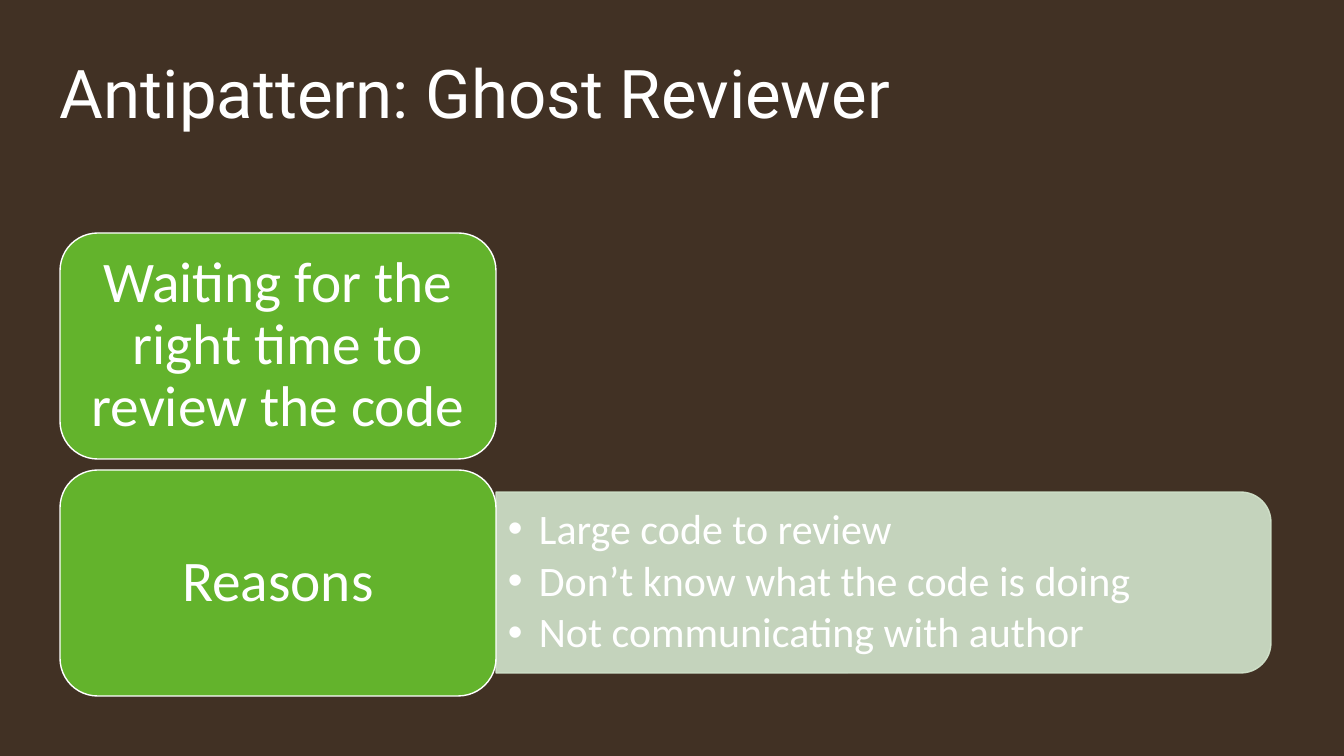
from lxml.etree import SubElement
from pptx import Presentation
from pptx.dml.color import RGBColor
from pptx.enum.shapes import MSO_SHAPE
from pptx.enum.text import MSO_ANCHOR, PP_ALIGN
from pptx.oxml.ns import qn
from pptx.util import Emu, Pt

PX = 914400 / 100.8
COLORS = {"background": "413124", "card": "63B32C", "panel": "D3E5CD", "white": "FFFFFF"}


def px(*lengths):
    return [Emu(round(length * PX)) for length in lengths]


def write(frame, lines, size, font="Calibri", align=PP_ALIGN.LEFT,
          anchor=MSO_ANCHOR.MIDDLE, insets=(0, 0), after=0, bullet_indent=0):
    frame.word_wrap = True
    frame.vertical_anchor = anchor
    frame.margin_left = frame.margin_right = px(insets[0])[0]
    frame.margin_top = frame.margin_bottom = px(insets[1])[0]
    for index, line in enumerate(lines):
        para = frame.paragraphs[0] if index == 0 else frame.add_paragraph()
        para.alignment = align
        para.line_spacing = 0.9
        para.space_after = Pt(after)
        span = para.add_run()
        span.text = line
        span.font.size = Pt(size)
        span.font.name = font
        span.font.color.rgb = RGBColor.from_string(COLORS["white"])
        if bullet_indent:
            properties = para._p.get_or_add_pPr()
            indent = px(bullet_indent)[0]
            properties.set("marL", str(indent))
            properties.set("indent", str(-indent))
            SubElement(properties, qn("a:buFont"), typeface="Arial")
            SubElement(properties, qn("a:buChar"), char="•")


deck = Presentation()
deck.slide_width, deck.slide_height = px(1344, 756)
page = deck.slides.add_slide(deck.slide_layouts[6])
page.background.fill.solid()
page.background.fill.fore_color.rgb = RGBColor.from_string(COLORS["background"])

# Title
title = page.shapes.add_textbox(*px(60, 60, 1223, 147))
write(title.text_frame, ["Antipattern: Ghost Reviewer"], 48, font="Roboto",
      anchor=MSO_ANCHOR.TOP)

# Pale panel, turned so that its rounded end points right
panel = page.shapes.add_shape(MSO_SHAPE.ROUND_2_SAME_RECTANGLE, *px(793, 195, 181, 775))
panel.rotation = 90
panel.shadow.inherit = False
panel.line.width = Pt(1)
for paint in (panel.fill, panel.line.fill):
    paint.solid()
    paint.fore_color.rgb = RGBColor.from_string(COLORS["panel"])
for color in panel._element.spPr.iter(qn("a:srgbClr")):
    SubElement(color, qn("a:alpha"), val="90000")

# Reasons listed on the panel
reasons = page.shapes.add_textbox(*px(496, 501, 766, 163))
write(reasons.text_frame,
      ["Large code to review", "Don’t know what the code is doing",
       "Not communicating with author"],
      30, insets=(12, 6), after=4.5, bullet_indent=31)

# Green cards, one under the other
for row, label in enumerate(["Waiting for the right time to review the code", "Reasons"]):
    card = page.shapes.add_shape(MSO_SHAPE.ROUNDED_RECTANGLE,
                                 *px(60, 233 + 237 * row, 436, 226))
    card.shadow.inherit = False
    card.fill.solid()
    card.fill.fore_color.rgb = RGBColor.from_string(COLORS["card"])
    card.line.color.rgb = RGBColor.from_string(COLORS["white"])
    card.line.width = Pt(1)
    write(card.text_frame, [label], 41, align=PP_ALIGN.CENTER, insets=(17, 9))

deck.save("out.pptx")
